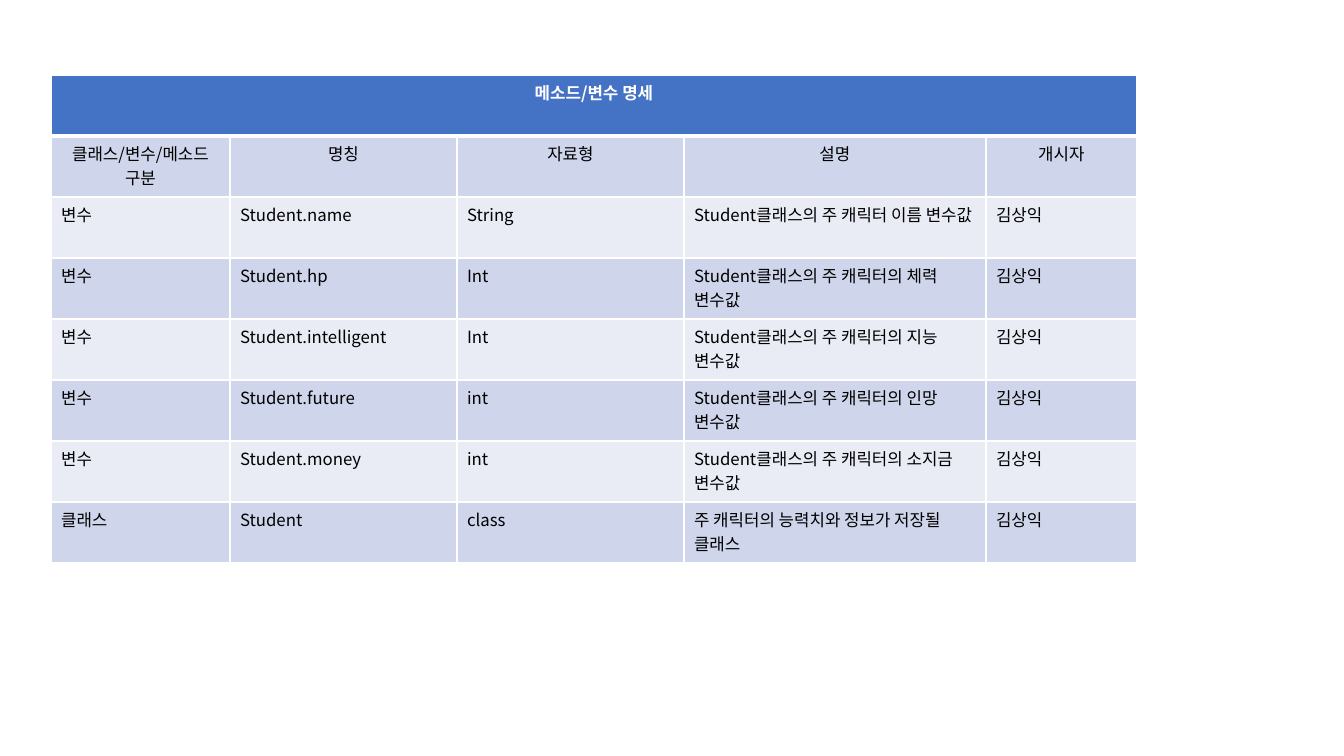
from dataclasses import dataclass

from lxml.etree import SubElement
from pptx import Presentation
from pptx.dml.color import RGBColor
from pptx.enum.text import PP_ALIGN
from pptx.oxml.ns import qn
from pptx.util import Pt

EMU_PER_PX = 914400 / 100.8


@dataclass(frozen=True)
class Theme:
    font: str = "Noto Sans CJK KR"
    size: int = 12
    header: str = "4472C4"
    band_dark: str = "CFD5EA"
    band_light: str = "E9EBF5"
    border: str = "FFFFFF"
    header_text: str = "FFFFFF"
    body_text: str = "000000"
    thin: int = 1
    thick: int = 3


THEME = Theme()
TITLE = "메소드/변수 명세"
COLUMN_NAMES = ("클래스/변수/메소드 구분", "명칭", "자료형", "설명", "개시자")
AUTHOR = "김상익"
MEMBERS = (
    ("변수", "Student.name", "String", "Student클래스의 주 캐릭터 이름 변수값"),
    ("변수", "Student.hp", "Int", "Student클래스의 주 캐릭터의 체력 변수값"),
    ("변수", "Student.intelligent", "Int", "Student클래스의 주 캐릭터의 지능 변수값"),
    ("변수", "Student.future", "int", "Student클래스의 주 캐릭터의 인망 변수값"),
    ("변수", "Student.money", "int", "Student클래스의 주 캐릭터의 소지금 변수값"),
    ("클래스", "Student", "class", "주 캐릭터의 능력치와 정보가 저장될 클래스"),
)
TABLE_LEFT, TABLE_TOP = 51, 75
COLUMN_WIDTHS = (179, 227, 227, 302, 151)
ROW_HEIGHT = 61


def px(length):
    return round(length * EMU_PER_PX)


def set_borders(cell, top, bottom):
    properties = cell._tc.get_or_add_tcPr()
    widths = {"L": THEME.thin, "R": THEME.thin, "T": top, "B": bottom}
    for side, width in widths.items():
        line = SubElement(properties, qn(f"a:ln{side}"), w=str(Pt(width)))
        fill = SubElement(line, qn("a:solidFill"))
        SubElement(fill, qn("a:srgbClr"), val=THEME.border)


def fill_cell(cell, color):
    cell.fill.solid()
    cell.fill.fore_color.rgb = RGBColor.from_string(color)


def write_cell(cell, text, color, bold=False, centered=False):
    cell.text = text
    para = cell.text_frame.paragraphs[0]
    para.alignment = PP_ALIGN.CENTER if centered else PP_ALIGN.LEFT
    font = para.font
    font.name = THEME.font
    font.size = Pt(THEME.size)
    font.bold = bold
    font.color.rgb = RGBColor.from_string(color)
    SubElement(para._p.pPr.find(qn("a:defRPr")), qn("a:ea"), typeface=THEME.font)


def add_grid(page, row_count):
    frame = page.shapes.add_table(
        row_count, len(COLUMN_WIDTHS), px(TABLE_LEFT), px(TABLE_TOP),
        px(sum(COLUMN_WIDTHS)), px(ROW_HEIGHT * row_count))
    table = frame.table
    for column, width in zip(table.columns, COLUMN_WIDTHS):
        column.width = px(width)
    for row in table.rows:
        row.height = px(ROW_HEIGHT)
    return table


def add_title_row(table):
    for cell in table.rows[0].cells:
        set_borders(cell, THEME.thin, THEME.thick)
        fill_cell(cell, THEME.header)
    title = table.cell(0, 0)
    title.merge(table.cell(0, len(COLUMN_WIDTHS) - 1))
    write_cell(title, TITLE, THEME.header_text, bold=True, centered=True)


def add_body_row(table, index, texts):
    is_heading = index == 1
    top = THEME.thick if is_heading else THEME.thin
    band = THEME.band_dark if index % 2 else THEME.band_light
    for cell, text in zip(table.rows[index].cells, texts):
        set_borders(cell, top, THEME.thin)
        fill_cell(cell, band)
        write_cell(cell, text, THEME.body_text, centered=is_heading)


def main():
    deck = Presentation()
    deck.slide_width, deck.slide_height = px(1344), px(756)
    page = deck.slides.add_slide(deck.slide_layouts[6])
    body = [COLUMN_NAMES, *((*member, AUTHOR) for member in MEMBERS)]
    table = add_grid(page, len(body) + 1)
    add_title_row(table)
    for index, texts in enumerate(body, start=1):
        add_body_row(table, index, texts)
    deck.save("out.pptx")


if __name__ == "__main__":
    main()
